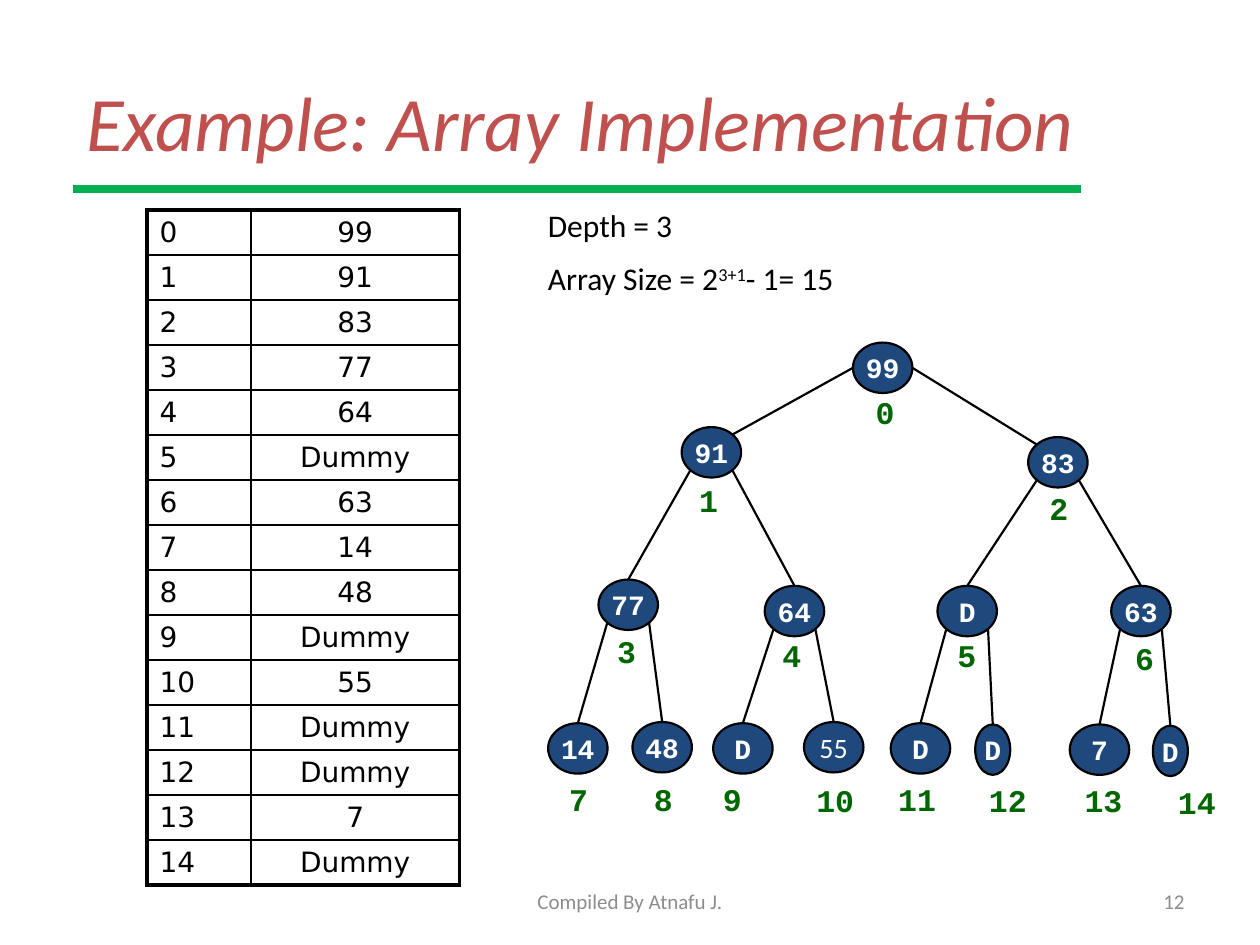
"""Build a slide that shows a binary heap as an array and as a tree."""
from lxml.etree import SubElement
from pptx import Presentation
from pptx.dml.color import RGBColor
from pptx.enum.shapes import MSO_CONNECTOR as Connector, MSO_SHAPE as Shape
from pptx.enum.text import MSO_ANCHOR as Anchor, PP_ALIGN as Align
from pptx.oxml.ns import qn
from pptx.util import Pt

VALUES = ["99", "91", "83", "77", "64", "Dummy", "63", "14", "48",
          "Dummy", "55", "Dummy", "Dummy", "7", "Dummy"]
NODES = [(487.4, 195.8), (389.5, 244.1), (587.5, 249.8),
         (342, 331.2), (437, 334.8), (535.7, 334.8), (635, 334.8),
         (313.2, 413.3), (361.4, 412.6), (407.5, 413.3), (459.4, 412.6),
         (509, 413.3), (557.3, 414), (611.3, 414), (658.8, 414.7)]
LABELS = [(493.2, 221), (392.4, 271.4), (592.6, 275.8),
          (345.6, 357.8), (440, 360), (540, 360), (641.5, 361.4),
          (318.2, 442), (366.5, 442), (406, 442), (459.4, 442.8),
          (506.2, 442), (558, 442.8), (612.7, 442.8), (666, 444.2)]
NODE_WIDTH, NARROW_WIDTH, NODE_HEIGHT = 34, 20, 28.8
NARROW_NODES = (12, 14)
DIAGONAL = 0.35


def color(hex_code):
    return RGBColor.from_string(hex_code)


class SlideBuilder:
    black, white, grey = "000000", "FFFFFF", "8C8C8C"
    red, green, dark_green, navy = "C0504D", "00B050", "006600", "1F497D"
    body_font, code_font, table_font = "Calibri", "Courier New", "DejaVu Sans"
    thin, thick = 1, 2.25

    def __init__(self, page):
        self.page = page

    def style(self, para, size, hex_code, name, bold=False, italic=False, align=None):
        para.alignment = align
        for span in para.runs:
            font = span.font
            font.size, font.name, font.bold, font.italic = Pt(size), name, bold, italic
            font.color.rgb = color(hex_code)

    def title(self, text, left, top, width, height):
        box = self.page.shapes.title
        box.left, box.top, box.width, box.height = map(Pt, (left, top, width, height))
        box.text_frame.text = text
        box.text_frame.vertical_anchor = Anchor.MIDDLE
        self.style(box.text_frame.paragraphs[0], 44, self.red, self.body_font,
                   italic=True, align=Align.LEFT)

    def text(self, text, left, top, width, height, size, hex_code, name,
             anchor=Anchor.TOP, **look):
        box = self.page.shapes.add_textbox(*map(Pt, (left, top, width, height)))
        frame = box.text_frame
        frame.word_wrap, frame.vertical_anchor = True, anchor
        frame.text = text
        self.style(frame.paragraphs[0], size, hex_code, name, **look)
        return frame

    def facts(self, first, base, power, rest, left, top, width, height):
        frame = self.text(first, left, top, width, height, 18, self.black, self.body_font)
        para = frame.add_paragraph()
        para.space_before = Pt(9)
        for part in (base, power, rest):
            para.add_run().text = part
        self.style(para, 18, self.black, self.body_font)
        para.runs[1]._r.get_or_add_rPr().set("baseline", "30000")

    def line(self, start, end, hex_code, weight):
        link = self.page.shapes.add_connector(Connector.STRAIGHT, *map(Pt, (*start, *end)))
        link.line.color.rgb = color(hex_code)
        link.line.width = Pt(weight)
        SubElement(link._element.spPr, qn("a:effectLst"))

    def node(self, text, left, top, width, name, bold):
        oval = self.page.shapes.add_shape(
            Shape.OVAL, *map(Pt, (left, top, width, NODE_HEIGHT)))
        oval.shadow.inherit = False
        oval.fill.solid()
        oval.fill.fore_color.rgb = color(self.navy)
        oval.line.color.rgb = color(self.black)
        oval.line.width = Pt(1.25)
        frame = oval.text_frame
        frame.word_wrap, frame.vertical_anchor = False, Anchor.MIDDLE
        frame.text = text
        self.style(frame.paragraphs[0], 16, self.white, name, bold=bold, align=Align.CENTER)

    def borders(self, cell, outer_sides):
        properties = cell._tc.get_or_add_tcPr()
        for side in "LRTB":
            weight = self.thick if side in outer_sides else self.thin
            edge = SubElement(properties, qn(f"a:ln{side}"), w=str(Pt(weight)))
            fill = SubElement(edge, qn("a:solidFill"))
            SubElement(fill, qn("a:srgbClr"), val=self.black)

    def table(self, values, left, top, widths, row_height):
        count = len(values)
        grid = self.page.shapes.add_table(
            count, 2, *map(Pt, (left, top, sum(widths), row_height * count))).table
        grid.first_row = grid.horz_banding = False
        for column, width in zip(grid.columns, widths):
            column.width = Pt(width)
        for index, value in enumerate(values):
            grid.rows[index].height = Pt(row_height)
            ends = "T" if index == 0 else "B" if index == count - 1 else ""
            columns = ((str(index), "L", Align.LEFT), (value, "R", Align.CENTER))
            for cell, (text, side, align) in zip(grid.rows[index].cells, columns):
                cell.text_frame.text = text
                self.style(cell.text_frame.paragraphs[0], 16, self.black,
                           self.table_font, align=align)
                self.borders(cell, side + ends)
                cell.fill.background()

    def tree(self, values, nodes, labels):
        widths = [NARROW_WIDTH if index in NARROW_NODES else NODE_WIDTH
                  for index in range(len(nodes))]

        def site(index, across, down):
            left, top = nodes[index]
            return (left + widths[index] * (0.5 + across),
                    top + NODE_HEIGHT * (0.5 + down))

        for child in range(1, len(nodes)):
            parent = (child - 1) // 2
            side = -1 if child % 2 else 1
            if parent == 0:
                start = site(parent, side * 0.5, 0)
                end = site(child, -side * DIAGONAL, -DIAGONAL)
            else:
                start = site(parent, side * DIAGONAL, DIAGONAL)
                end = site(child, 0, -0.5)
            self.line(start, end, self.black, 1.25)
        for index, (value, spot, width, label) in enumerate(
                zip(values, nodes, widths, labels)):
            plain = value == "55"
            self.node("D" if value == "Dummy" else value, *spot, width,
                      self.body_font if plain else self.code_font, not plain)
            self.text(str(index), *label, 24 if index < 9 else 39, 28.8,
                      18, self.dark_green, self.code_font, bold=True)


def main():
    deck = Presentation()
    deck.slide_width, deck.slide_height = Pt(720), Pt(540)
    builder = SlideBuilder(deck.slides.add_slide(deck.slide_layouts[5]))
    builder.title("Example: Array Implementation", 42, 24, 648, 90)
    builder.line((42, 108), (618, 108), builder.green, 4.25)
    builder.table(VALUES, 84, 120, (59.5, 119), 25.7)
    builder.facts("Depth = 3", "Array Size = 2", "3+1", "- 1= 15", 306, 114, 345.6, 61.2)
    builder.tree(VALUES, NODES, LABELS)
    for text, left, width, align in (("Compiled By Atnafu J.", 246, 228, Align.CENTER),
                                     ("12", 516, 168, Align.RIGHT)):
        builder.text(text, left, 500.4, width, 28.8, 12, builder.grey,
                     builder.body_font, anchor=Anchor.MIDDLE, align=align)
    deck.save("out.pptx")


if __name__ == "__main__":
    main()
